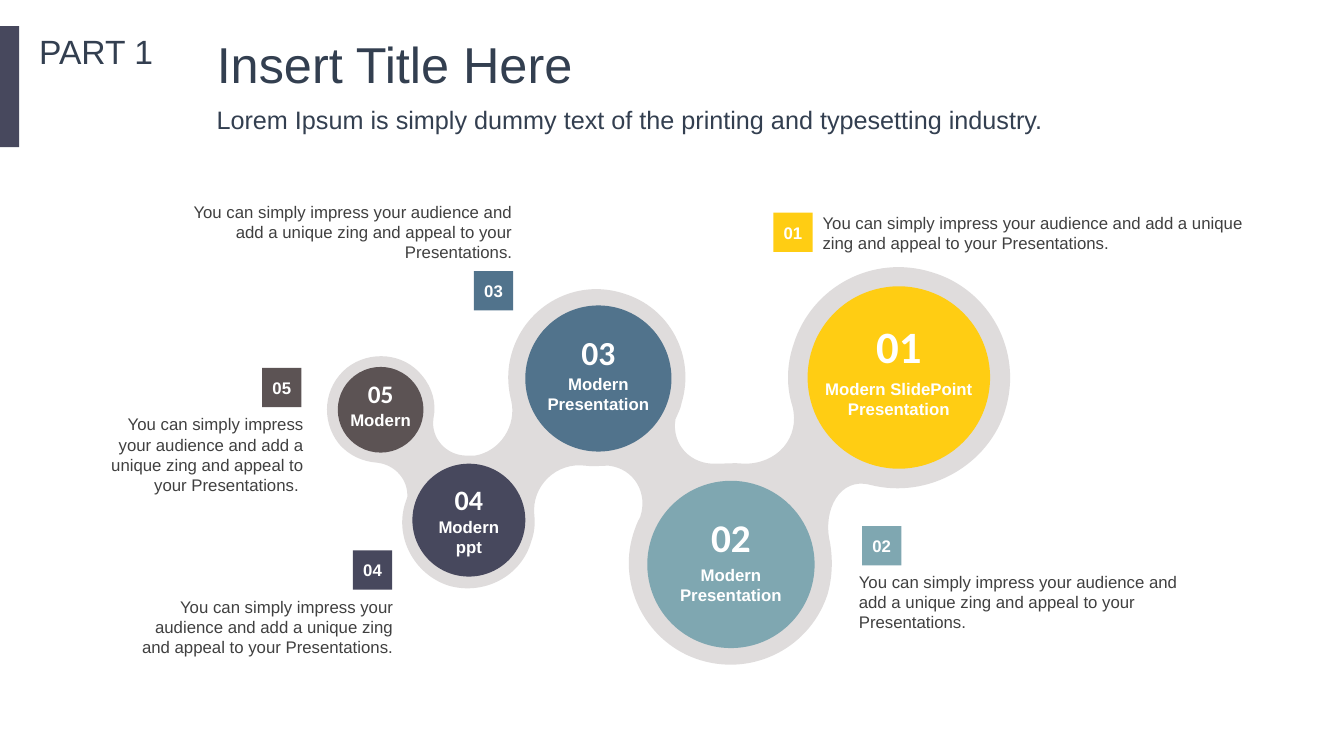
from itertools import chain

from lxml import etree
from pptx import Presentation
from pptx.dml.color import RGBColor
from pptx.enum import shapes, text
from pptx.oxml.ns import qn
from pptx.util import Inches, Pt

WHITE = RGBColor(0xFF, 0xFF, 0xFF)
GREY = RGBColor(0xDF, 0xDC, 0xDC)
INK = RGBColor(0x33, 0x3F, 0x50)
BODY = RGBColor(0x40, 0x40, 0x40)
GOLD = RGBColor(0xFF, 0xCD, 0x13)
TEAL = RGBColor(0x7F, 0xA7, 0xB1)
BLUE = RGBColor(0x51, 0x73, 0x8C)
NAVY = RGBColor(0x47, 0x48, 0x5D)
BROWN = RGBColor(0x5C, 0x53, 0x54)
LEFT, RIGHT, MID = text.PP_ALIGN.LEFT, text.PP_ALIGN.RIGHT, text.PP_ALIGN.CENTER

PART = "PART 1"
TITLE = "Insert Title Here"
LEAD = "Lorem Ipsum is simply dummy text of the printing and typesetting industry."
NOTE = ("You can simply impress your audience and add a unique zing "
        "and appeal to your Presentations.")

# number, colour, circle (left, top, diameter), number size and top, label and top
CIRCLES = [
    ("01", GOLD, (8.01, 2.84, 1.81), 32, 3.11, "Modern SlidePoint Presentation", 3.71),
    ("02", TEAL, (6.42, 4.77, 1.66), 28, 5.04, "Modern Presentation", 5.55),
    ("03", BLUE, (5.21, 3.03, 1.45), 24, 3.24, "Modern Presentation", 3.66),
    ("04", NAVY, (4.09, 4.6, 1.12), 20, 4.74, "Modern\nppt", 5.08),
    ("05", BROWN, (3.35, 3.64, 0.85), 18, 3.7, "Modern", 4.02),
]

# number, colour, tag (left, top), note (left, top, width, height), alignment, words
NOTES = [
    ("01", GOLD, (7.67, 2.11), (8.06, 2.06, 4.41, 0.5), LEFT, NOTE),
    ("02", TEAL, (8.55, 5.22), (8.42, 5.62, 3.4, 0.71), LEFT, NOTE),
    ("03", BLUE, (4.7, 2.69), (1.74, 1.95, 3.44, 0.71), RIGHT, NOTE),
    ("04", NAVY, (3.5, 5.46), (1.2, 5.87, 2.8, 0.71), RIGHT, NOTE),
    ("05", BROWN, (2.6, 3.65), (0.96, 4.06, 2.15, 0.91), RIGHT, NOTE + " "),
]
TAG = 0.39

# outline of the chain: a start, then two handles and an end for each curve
START = (9.97, 4.07)
CURVES = [
    (9.81, 4.6, 9.22, 4.96, 8.63, 4.81), (8.33, 4.73, 8.16, 5.06, 8.23, 5.37),
    (8.26, 5.53, 8.26, 5.71, 8.21, 5.89), (8.04, 6.42, 7.48, 6.71, 6.95, 6.55),
    (6.42, 6.39, 6.12, 5.82, 6.28, 5.3), (6.3, 5.24, 6.32, 5.18, 6.35, 5.13),
    (6.43, 4.89, 6.29, 4.65, 6.04, 4.62), (5.95, 4.62, 5.89, 4.63, 5.81, 4.62),
    (5.52, 4.58, 5.27, 4.82, 5.3, 5.11), (5.31, 5.2, 5.3, 5.29, 5.27, 5.37),
    (5.17, 5.72, 4.8, 5.91, 4.45, 5.81), (4.11, 5.7, 3.91, 5.33, 4.02, 4.99),
    (4.03, 4.97, 4.03, 4.95, 4.04, 4.93), (4.05, 4.76, 3.92, 4.61, 3.74, 4.59),
    (3.6, 4.58, 3.46, 4.52, 3.36, 4.4), (3.18, 4.17, 3.21, 3.84, 3.44, 3.65),
    (3.67, 3.47, 4.01, 3.5, 4.19, 3.73), (4.29, 3.85, 4.33, 4, 4.3, 4.15),
    (4.27, 4.35, 4.43, 4.52, 4.63, 4.52), (4.65, 4.52, 4.68, 4.52, 4.71, 4.52),
    (4.96, 4.48, 5.13, 4.22, 5.07, 3.97), (5.03, 3.81, 5.03, 3.65, 5.08, 3.49),
    (5.22, 3.03, 5.71, 2.76, 6.18, 2.91), (6.65, 3.05, 6.9, 3.54, 6.76, 4),
    (6.75, 4.06, 6.72, 4.11, 6.7, 4.16), (6.66, 4.41, 6.85, 4.61, 7.1, 4.6),
    (7.21, 4.6, 7.29, 4.59, 7.37, 4.6), (7.71, 4.61, 7.94, 4.34, 7.86, 4.03),
    (7.8, 3.84, 7.8, 3.63, 7.87, 3.42), (8.05, 2.84, 8.66, 2.52, 9.24, 2.7),
    (9.82, 2.87, 10.15, 3.49, 9.97, 4.07),
]

deck = Presentation()
deck.slide_width, deck.slide_height = Inches(13.33), Inches(7.5)
slide = deck.slides.add_slide(deck.slide_layouts[5])
parts = slide.shapes


def paint(shape, color):
    shape.shadow.inherit = False
    shape.fill.solid()
    shape.fill.fore_color.rgb = color
    shape.line.fill.background()
    return shape


def block(kind, box, color):
    return paint(parts.add_shape(kind, *map(Inches, box)), color)


def write(shape, words, size, color, align=LEFT, font="Arial", bold=False, wrap=True):
    frame = shape.text_frame
    frame.text = words
    frame.word_wrap = wrap
    frame.auto_size = text.MSO_AUTO_SIZE.NONE
    for para in frame.paragraphs:
        para.alignment = align
        para.font.size, para.font.name, para.font.bold = Pt(size), font, bold
        para.font.color.rgb = color
    return frame


def label(box, *args, **style):
    return write(parts.add_textbox(*map(Inches, box)), *args, **style)


def bend(start, curves):
    """Draw a closed outline of cubic curves."""
    flat = [Inches(n) for n in chain(*curves)]
    pen = parts.build_freeform(*map(Inches, start))
    pen.add_line_segments(list(zip(flat[::2], flat[1::2])), close=True)
    shape = pen.convert_to_shape()
    lines = list(shape._element.iter(qn("a:lnTo")))
    for first in range(0, len(lines), 3):
        cubic = etree.Element(qn("a:cubicBezTo"))
        lines[first].addprevious(cubic)
        for line in lines[first:first + 3]:
            cubic.append(line[0])
            line.getparent().remove(line)
    return shape


# Heading
title = parts.title
title.left, title.top, title.width, title.height = map(Inches, (2.05, 0.28, 3.76, 0.71))
write(title, TITLE, 36, INK, wrap=False).vertical_anchor = text.MSO_ANCHOR.TOP
block(shapes.MSO_SHAPE.RECTANGLE, (0, 0.26, 0.19, 1.2), NAVY)
label((0.29, 0.26, 1.34, 0.5), PART, 24, INK, wrap=False)
label((2.05, 0.99, 8.47, 0.4), LEAD, 18, INK, wrap=False)

# Chain of circles
paint(bend(START, CURVES), GREY)
for num, color, (x, y, size), big, top, name, low in CIRCLES:
    block(shapes.MSO_SHAPE.OVAL, (x, y, size, size), color)
    label((x, top, size, big / 45), num, big, WHITE, MID, font="Calibri", bold=True)
    label((x, low, size, 0.5), name, 12, WHITE, MID, bold=True)

# Numbered notes
for num, color, spot, box, align, words in NOTES:
    label(box, words, 12, BODY, align)
    tag = block(shapes.MSO_SHAPE.RECTANGLE, (*spot, TAG, TAG), color)
    frame = write(tag, num, 12, WHITE, MID, bold=True)
    frame.margin_left = frame.margin_right = 0
    frame.vertical_anchor = text.MSO_ANCHOR.MIDDLE

deck.save("out.pptx")
